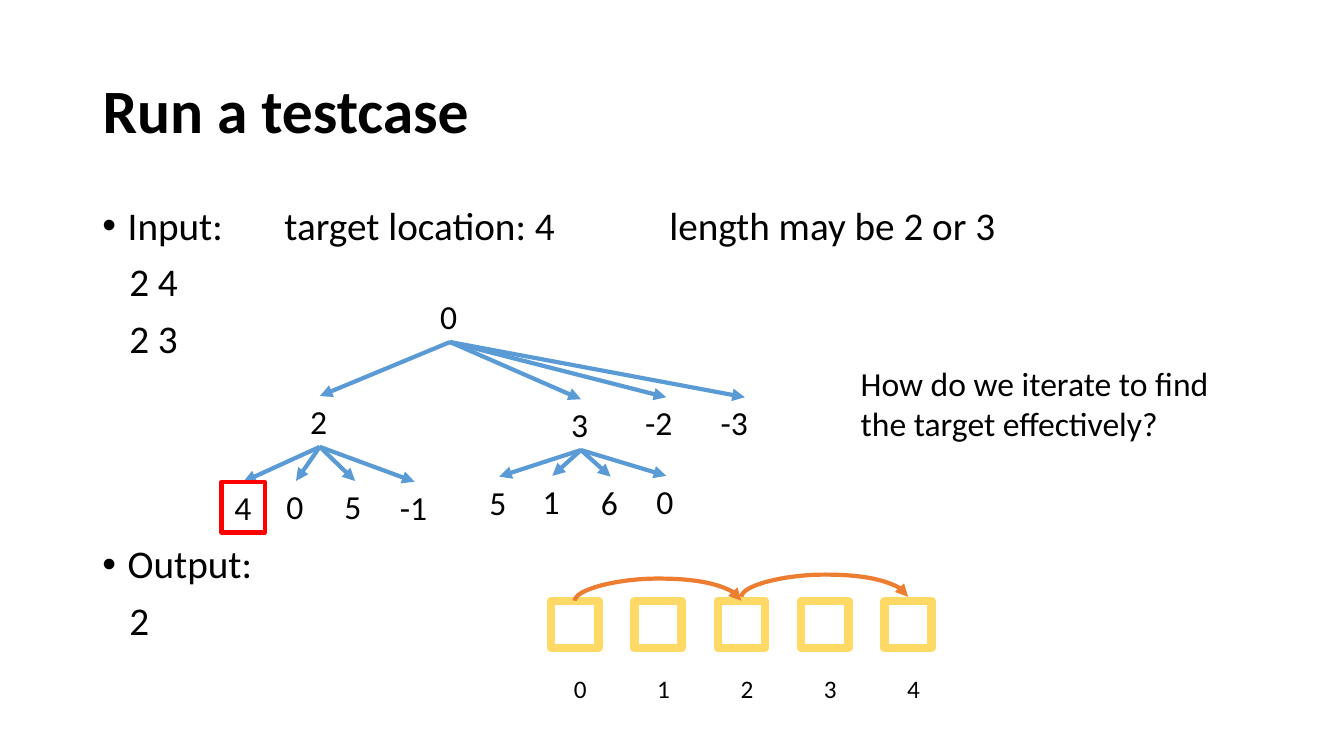
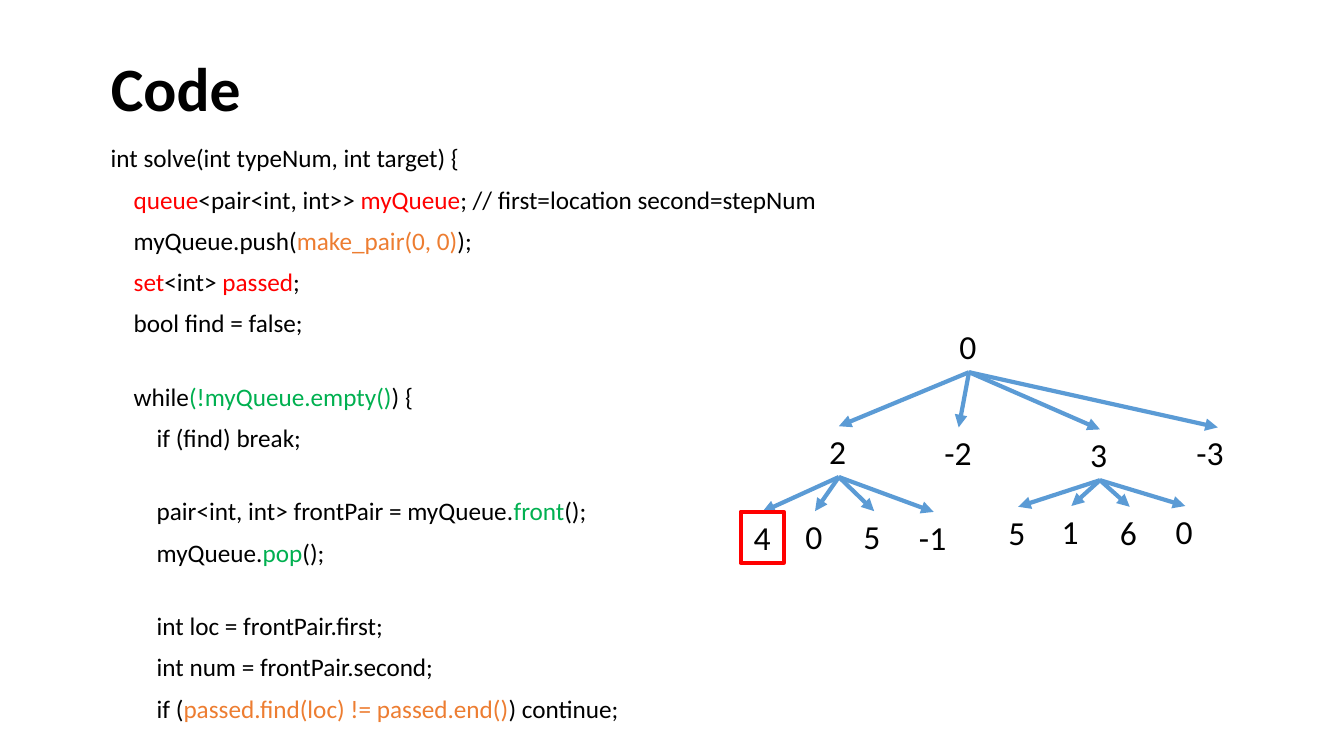
"""Build two slides that trace a breadth-first search and show its code."""
from pptx import Presentation
from pptx.dml.color import RGBColor
from pptx.enum.shapes import MSO_CONNECTOR as Link, MSO_SHAPE as Preset
from pptx.enum.text import MSO_ANCHOR as Anchor, MSO_AUTO_SIZE as AutoSize, PP_ALIGN as Align
from pptx.oxml.ns import qn
from pptx.util import Cm, Pt
from lxml.etree import SubElement

COLORS = {"text": "000000", "red": "FF0000", "orange": "ED7D31", "green": "00B050",
          "blue": "5B9BD5", "yellow": "FFD966"}
FONT = "Calibri"
TITLE_FONT = {"name": FONT, "size": Pt(44), "bold": True}
TITLE_FRAME = {"vertical_anchor": Anchor.MIDDLE, "auto_size": AutoSize.NONE, "word_wrap": True}
TITLE_PARAGRAPH = {"alignment": Align.LEFT, "line_spacing": 0.9}

TESTCASE_LINES = [
    ("Input:\ttarget location: 4\tlength may be 2 or 3", True, 10),
    ("2 4", False, 10),
    ("2 3", False, 10),
    ("Output:", True, 131),
    ("2", False, 10),
]
INPUT_TABS = [4.59, 14.29]
QUESTION = "How do we iterate to find the target effectively?"

CODE_BLOCKS = [
    [
        (0, [("int solve(int typeNum, int target) {", "text")]),
        (1, [("queue", "red"), ("<pair<int, int>> ", "text"), ("myQueue", "red"),
             ("; // first=location second=stepNum", "text")]),
        (1, [("myQueue.push(", "text"), ("make_pair(0, 0)", "orange"), (");", "text")]),
        (1, [("set", "red"), ("<int> ", "text"), ("passed", "red"), (";", "text")]),
        (1, [("bool find = false;", "text")]),
    ],
    [
        (1, [("while", "text"), ("(!myQueue.empty()", "green"), (") {", "text")]),
        (2, [("if (find) break;", "text")]),
    ],
    [
        (2, [("pair<int, int> frontPair = myQueue.", "text"), ("front", "green"), ("();", "text")]),
        (2, [("myQueue.", "text"), ("pop", "green"), ("();", "text")]),
    ],
    [
        (2, [("int loc = frontPair.first;", "text")]),
        (2, [("int num = frontPair.second;", "text")]),
        (2, [("if (", "text"), ("passed.find(loc) != passed.end()", "orange"),
             (") continue;", "text")]),
    ],
]

ROOT = ("0", 0.49, 0, 0.99)
BRANCHES = [
    (("2", -2.79, 2.64, 0.99),
     [("4", -4.72, 4.8, 0.94), ("0", -3.39, 4.78, 0.99),
      ("5", -1.9, 4.78, 1.04), ("-1", -0.4, 4.8, 1.24)]),
    (("3", 3.79, 2.72, 0.99),
     [("5", 1.73, 4.67, 0.99), ("1", 3.07, 4.65, 0.99),
      ("6", 4.54, 4.67, 0.99), ("0", 5.94, 4.65, 0.99)]),
]
TARGET = ("4", -4.72, 4.8, 1.09)
NODE_HEIGHT = 1.28
TESTCASE_LEAVES = [(("-2", 5.82, 2.67, 1.32), 5.94), (("-3", 7.72, 2.67, 1.32), 7.92)]
CODE_LEAVES = [(("-2", 0.28, 2.67, 1.32), 0.23), (("-3", 6.63, 2.67, 1.32), 6.76)]

CELL_COUNT, CELL_LEFT, CELL_TOP, CELL_SIZE, CELL_PITCH = 5, 13.89, 15.14, 1.19, 2.1
JUMPS = [(0, 2, 15.14), (2, 4, 15.04)]
LABEL_LEFT, LABEL_INSET, LABEL_SHIFT = 13.82, 0.25, 0.14


def rgb(name):
    return RGBColor.from_string(COLORS[name])


def apply(target, values):
    for name, value in values.items():
        setattr(target, name, value)


def add_run(paragraph, text, size, color="text"):
    run = paragraph.add_run()
    run.text = text
    apply(run.font, {"name": FONT, "size": Pt(size)})
    run.font.color.rgb = rgb(color)


def add_frame(slide, box, grow=True):
    frame = slide.shapes.add_textbox(*map(Cm, box)).text_frame
    apply(frame, {"word_wrap": True,
                  "auto_size": AutoSize.SHAPE_TO_FIT_TEXT if grow else AutoSize.NONE})
    return frame


def add_label(slide, text, box, size=24):
    paragraph = add_frame(slide, box).paragraphs[0]
    add_run(paragraph, text, size)
    return paragraph


def next_paragraph(frame, index, space):
    paragraph = frame.add_paragraph() if index else frame.paragraphs[0]
    apply(paragraph, {"line_spacing": 0.9, "space_before": Pt(space)})
    return paragraph


def set_indent(paragraph, margin, indent=0):
    properties = paragraph._p.get_or_add_pPr()
    properties.set("marL", str(Cm(margin)))
    properties.set("indent", str(Cm(indent)))
    return properties


def add_tabs(paragraph, stops, align):
    tabs = SubElement(paragraph._p.get_or_add_pPr(), qn("a:tabLst"))
    for stop in stops:
        SubElement(tabs, qn("a:tab"), pos=str(Cm(stop)), algn=align)


def add_title_slide(presentation, title, left, top):
    slide = presentation.slides.add_slide(presentation.slide_layouts[5])
    shape = slide.shapes.title
    apply(shape, {"left": Cm(left), "top": Cm(top), "width": Cm(29.21), "height": Cm(3.68)})
    shape.text_frame.text = title
    paragraph = shape.text_frame.paragraphs[0]
    apply(shape.text_frame, TITLE_FRAME)
    apply(paragraph, TITLE_PARAGRAPH)
    apply(paragraph.runs[0].font, TITLE_FONT)
    paragraph.runs[0].font.color.rgb = rgb("text")
    return slide


def add_outline(slide, box, color, width):
    shape = slide.shapes.add_shape(Preset.RECTANGLE, *map(Cm, box))
    shape.shadow.inherit = False
    shape.fill.background()
    shape.line.color.rgb = rgb(color)
    shape.line.width = Pt(width)


def add_arrow(slide, kind, ends, color):
    arrow = slide.shapes.add_connector(kind, *map(Cm, ends))
    arrow.line.color.rgb = rgb(color)
    arrow.line.width = Pt(3)
    SubElement(arrow.line._get_or_add_ln(), qn("a:tailEnd"), type="triangle")
    SubElement(arrow._element.spPr, qn("a:effectLst"))
    return arrow


def add_jump(slide, start, end, y):
    """Add a curved arrow that bulges 0.64 cm above its two ends."""
    middle, span, thickness = (start + end) / 2, end - start, 817
    arrow = add_arrow(slide, Link.CURVE, (middle, y - span / 2, middle, y + span / 2), "orange")
    arrow.width = thickness
    arrow.rotation = 270
    properties = arrow._element.spPr
    properties.find(qn("a:xfrm")).set("flipH", "1")
    geometry = properties.find(qn("a:prstGeom"))
    guides = geometry.find(qn("a:avLst"))
    if guides is None:
        guides = SubElement(geometry, qn("a:avLst"))
    bulge = round(-Cm(0.635) / thickness * 100000)
    SubElement(guides, qn("a:gd"), name="adj1", fmla=f"val {bulge}")


def add_tree(slide, left, top, leaves):
    def node_box(node):
        _, center, node_top, width = node
        return left + center - width / 2, top + node_top, width, NODE_HEIGHT

    def connect(parent, node, tip=None):
        x = node[1] if tip is None else tip
        add_arrow(slide, Link.STRAIGHT, (left + parent[1], top + parent[2] + NODE_HEIGHT,
                                         left + x, top + node[2]), "blue")
        add_label(slide, node[0], node_box(node))

    add_label(slide, ROOT[0], node_box(ROOT))
    for branch, children in BRANCHES:
        connect(ROOT, branch)
        for child in children:
            connect(branch, child)
    for leaf, tip in leaves:
        connect(ROOT, leaf, tip)
    add_outline(slide, node_box(TARGET), "red", 3)


def add_cells(slide):
    lefts = [CELL_LEFT + CELL_PITCH * index for index in range(CELL_COUNT)]
    centers = [left + CELL_SIZE / 2 for left in lefts]
    for left in lefts:
        add_outline(slide, (left, CELL_TOP, CELL_SIZE, CELL_SIZE), "yellow", 6)
    for start, end, y in JUMPS:
        add_jump(slide, centers[start], centers[end], y)
    numbers = "".join(f"\t{index}" for index in range(CELL_COUNT))
    paragraph = add_label(slide, numbers, (LABEL_LEFT, 16.84, 9.83, 1.02), 18)
    add_tabs(paragraph, [center + LABEL_SHIFT - LABEL_LEFT - LABEL_INSET for center in centers],
             "ctr")


def build_testcase(presentation):
    slide = add_title_slide(presentation, "Run a testcase", 2.33, 1.02)
    frame = add_frame(slide, (2.33, 5.08, 29.21, 12.09), grow=False)
    for index, (text, bullet, space) in enumerate(TESTCASE_LINES):
        paragraph = next_paragraph(frame, index, space)
        if bullet:
            properties = set_indent(paragraph, 0.64, -0.64)
            SubElement(properties, qn("a:buFont"), typeface="Arial")
            SubElement(properties, qn("a:buChar"), char="•")
        else:
            set_indent(paragraph, 0.68)
        if "\t" in text:
            add_tabs(paragraph, INPUT_TABS, "l")
        add_run(paragraph, text, 28)
    add_cells(slide)
    add_tree(slide, 10.85, 7.34, TESTCASE_LEAVES)
    add_label(slide, QUESTION, (21.44, 9.02, 9.8, 2.31))


def build_code(presentation):
    slide = add_title_slide(presentation, "Code", 2.54, 0.46)
    frame = add_frame(slide, (2.54, 3.56, 29.21, 14.45), grow=False)
    for block_index, block in enumerate(CODE_BLOCKS):
        for line_index, (level, runs) in enumerate(block):
            space = 33 if block_index and not line_index else 10
            paragraph = next_paragraph(frame, block_index + line_index, space)
            set_indent(paragraph, 0.58 * level)
            for text, color in runs:
                add_run(paragraph, text, 18, color)
    add_tree(slide, 23.93, 8.1, CODE_LEAVES)


presentation = Presentation()
apply(presentation, {"slide_width": Cm(33.87), "slide_height": Cm(19.05)})
build_testcase(presentation)
build_code(presentation)
presentation.save("out.pptx")
